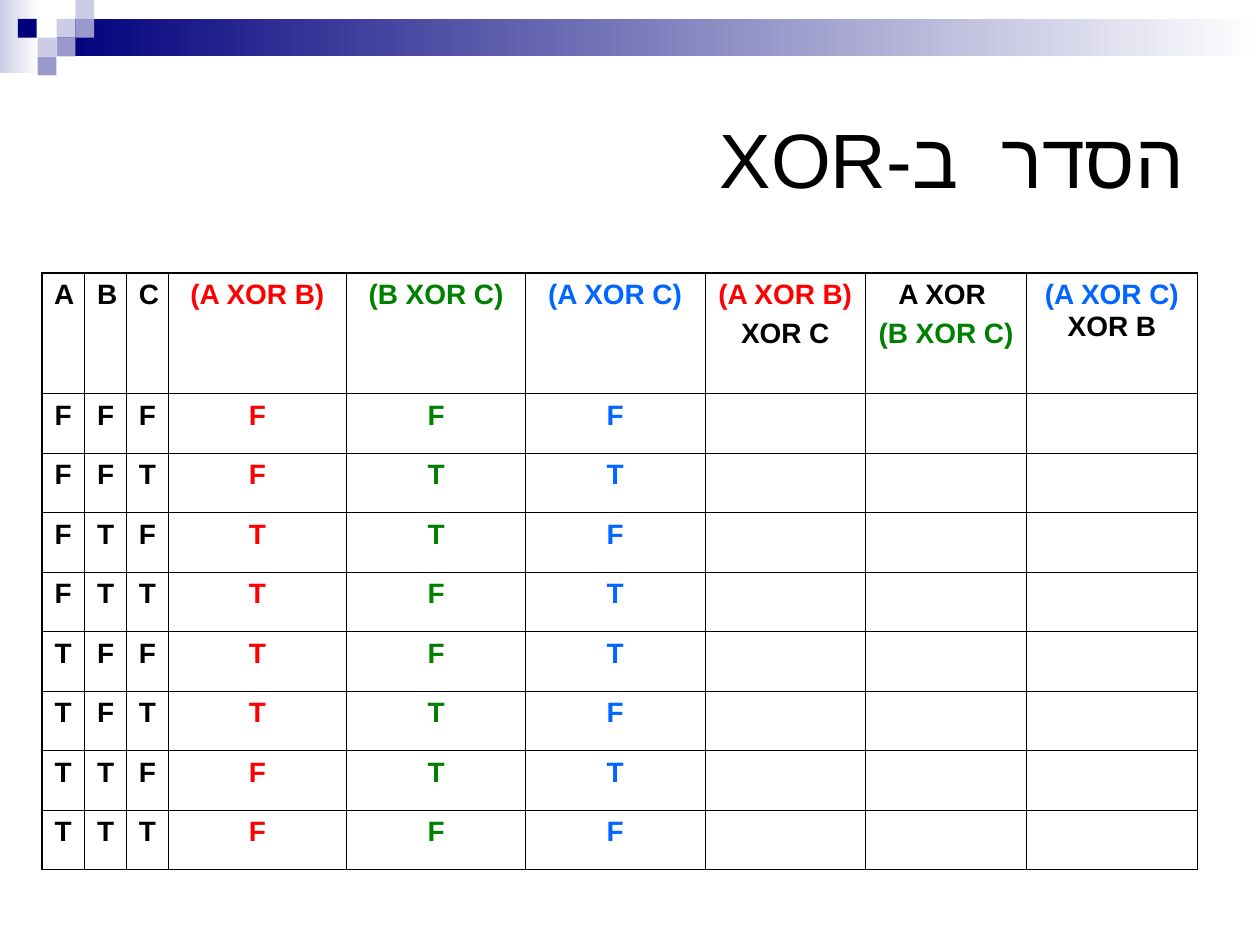
from dataclasses import dataclass
from itertools import product

from lxml.etree import SubElement
from pptx import Presentation
from pptx.dml.color import RGBColor
from pptx.enum.shapes import MSO_SHAPE
from pptx.enum.text import MSO_ANCHOR, PP_ALIGN
from pptx.oxml.ns import qn
from pptx.util import Cm, Pt


@dataclass(frozen=True)
class Theme:
    font: str = "Arial"
    title_size: float = 44
    cell_size: float = 16
    cell_gap: float = 4
    outer_line: float = 1.08
    inner_line: float = 0.45
    black: str = "000000"
    white: str = "FFFFFF"
    red: str = "FF0000"
    green: str = "008000"
    blue: str = "0066FF"
    navy: str = "00007D"
    lilac: str = "9999CC"
    pale: str = "CCCCE6"


theme = Theme()


def add_span(para, text, size, color, bold=False):
    span = para.add_run()
    span.text = text
    span.font.name = theme.font
    span.font.size = Pt(size)
    span.font.bold = bold
    span.font.color.rgb = RGBColor.from_string(color)
    return span


def add_block(left, top, width, height):
    block = page.shapes.add_shape(
        MSO_SHAPE.RECTANGLE, Cm(left), Cm(top), Cm(width), Cm(height)
    )
    block.shadow.inherit = False
    block.line.fill.background()
    return block


deck = Presentation()
deck.slide_width, deck.slide_height = Cm(25.4), Cm(19.05)
page = deck.slides.add_slide(deck.slide_layouts[6])

bands = [
    (0, 0, 0.79, 1.47, theme.pale),
    (1.14, 0.38, 24.26, 0.76, theme.navy),
]
for left, top, width, height, color in bands:
    band = add_block(left, top, width, height)
    band.fill.gradient()
    band.fill.gradient_angle = 0
    for stop, stop_color in zip(band.fill.gradient_stops, (color, theme.white)):
        stop.color.rgb = RGBColor.from_string(stop_color)

unit = 0.38
squares = [
    (3, 1, theme.pale),
    (4, 0, theme.pale),
    (4, 1, theme.lilac),
    (2, 2, theme.pale),
    (0.95, 1, theme.navy),
    (3, 2, theme.lilac),
    (2, 3, theme.lilac),
]
for column, row, color in squares:
    square = add_block(column * unit, row * unit, unit, unit)
    square.fill.solid()
    square.fill.fore_color.rgb = RGBColor.from_string(color)

title = page.shapes.add_textbox(Cm(1.27), Cm(1.27), Cm(22.86), Cm(3.81))
title.text_frame.word_wrap = True
title.text_frame.vertical_anchor = MSO_ANCHOR.MIDDLE
para = title.text_frame.paragraphs[0]
para.alignment = PP_ALIGN.RIGHT
para._p.get_or_add_pPr().set("rtl", "1")
span = add_span(para, "הסדר  ב-XOR", theme.title_size, theme.black)
SubElement(span.font._element, qn("a:cs"), typeface=theme.font)

headings = [
    [[("A", theme.black)]],
    [[("B", theme.black)]],
    [[("C", theme.black)]],
    [[("(A XOR B)", theme.red)]],
    [[("(B XOR C)", theme.green)]],
    [[("(A XOR C)", theme.blue)]],
    [[("(A XOR B) ", theme.red)], [("XOR C", theme.black)]],
    [[("A XOR ", theme.black)], [("(B XOR C)", theme.green)]],
    [[("(A XOR C)", theme.blue), (" XOR B", theme.black)]],
]
value_colors = [theme.black] * 3 + [theme.red, theme.green, theme.blue]
rows = [headings]
for a, b, c in product((False, True), repeat=3):
    values = [a, b, c, a ^ b, b ^ c, a ^ c]
    answers = [
        [[("T" if value else "F", color)]]
        for value, color in zip(values, value_colors)
    ]
    rows.append(answers + [[]] * (len(headings) - len(answers)))

column_widths = [0.87, 0.84, 0.84, 3.6, 3.6, 3.62, 3.24, 3.24, 3.45]
row_heights = [2.42] + [1.2] * 8
frame = page.shapes.add_table(
    len(rows), len(headings), Cm(0.84), Cm(5.51),
    Cm(sum(column_widths)), Cm(sum(row_heights)),
)
table = frame.table
table.first_row = False
table.horz_banding = False
for column, width in zip(table.columns, column_widths):
    column.width = Cm(width)

last_row, last_column = len(rows) - 1, len(headings) - 1
for row_index, row in enumerate(rows):
    table.rows[row_index].height = Cm(row_heights[row_index])
    for column_index, lines in enumerate(row):
        cell = table.cell(row_index, column_index)
        cell.margin_left = cell.margin_right = Cm(0.25)
        cell.margin_top = cell.margin_bottom = Cm(0.13)
        edges = {
            "a:lnL": column_index == 0,
            "a:lnR": column_index == last_column,
            "a:lnT": row_index == 0,
            "a:lnB": row_index == last_row,
        }
        for tag, is_outer in edges.items():
            weight = theme.outer_line if is_outer else theme.inner_line
            border = SubElement(
                cell._tc.get_or_add_tcPr(), qn(tag), w=str(int(Pt(weight)))
            )
            paint = SubElement(border, qn("a:solidFill"))
            SubElement(paint, qn("a:srgbClr"), val=theme.black)
        cell.fill.background()
        for line_index, line in enumerate(lines):
            text = cell.text_frame
            para = text.add_paragraph() if line_index else text.paragraphs[0]
            para.alignment = PP_ALIGN.CENTER
            para.space_before = Pt(theme.cell_gap)
            for words, color in line:
                add_span(para, words, theme.cell_size, color, bold=True)

deck.save("out.pptx")
